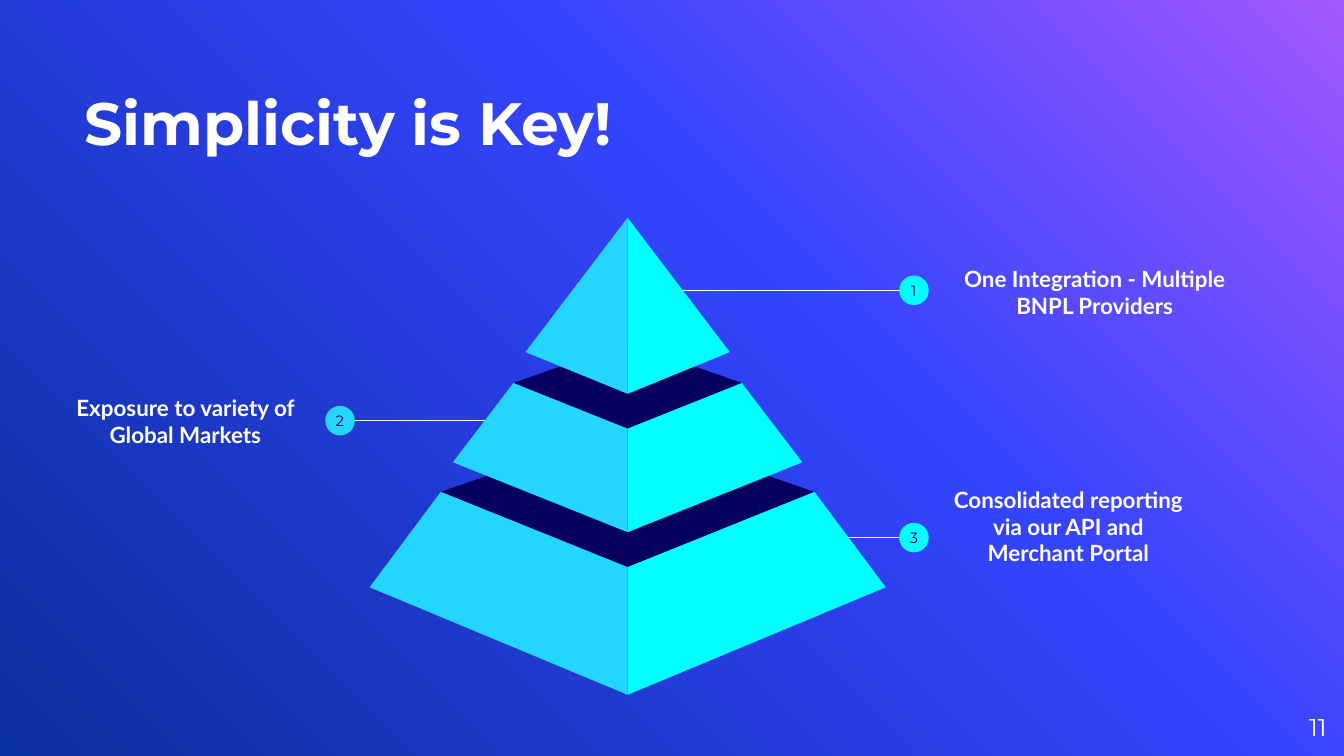
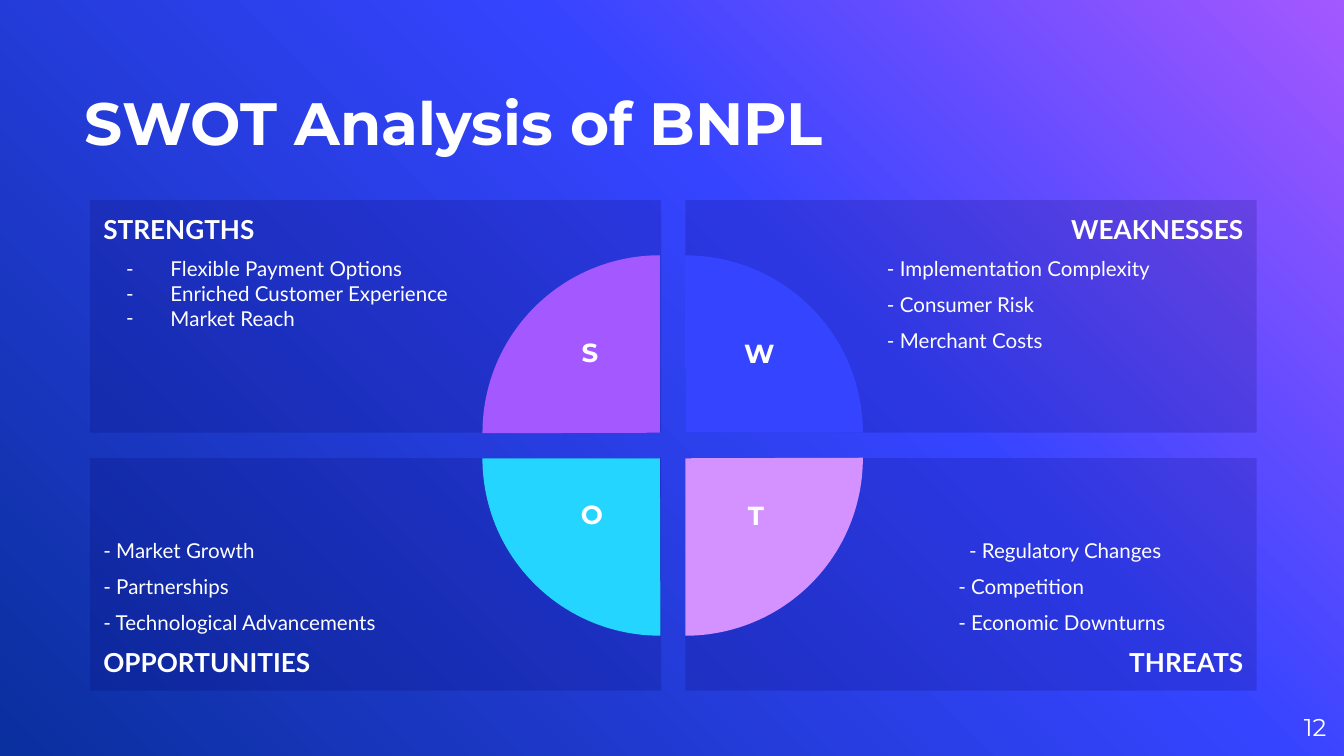
from lxml import etree
from pptx import Presentation
from pptx.dml.color import RGBColor
from pptx.enum.shapes import MSO_CONNECTOR, MSO_SHAPE
from pptx.enum.text import MSO_ANCHOR, MSO_AUTO_SIZE, PP_ALIGN
from pptx.oxml.ns import qn
from pptx.util import Inches, Pt

LEFT, MID, RIGHT = PP_ALIGN.LEFT, PP_ALIGN.CENTER, PP_ALIGN.RIGHT
TOP, CORE, BASE = MSO_ANCHOR.TOP, MSO_ANCHOR.MIDDLE, MSO_ANCHOR.BOTTOM
RECT, OVAL, PIE = MSO_SHAPE.RECTANGLE, MSO_SHAPE.OVAL, MSO_SHAPE.PIE
LINE, FIXED = MSO_CONNECTOR.STRAIGHT, MSO_AUTO_SIZE.NONE

HUES = {
    "white": "FFFFFF", "navy": "050060", "cyan": "00FFFF", "sky": "24D6FF",
    "blue": "3544FF", "violet": "A458FF", "pink": "D392FF", "deep": "0A2F9E",
}
FADE = [("violet", 0), ("blue", 39), ("deep", 100)]
WIDE = 10
HIGH = WIDE * 9 / 16

HEAD = {"name": "Montserrat", "size": Pt(32), "bold": True}
PAGE = {"name": "Montserrat", "size": Pt(13), "bold": False}
MARK = {"name": "Montserrat", "size": Pt(8), "bold": False}
SIGN = {"name": "Montserrat", "size": Pt(14), "bold": True}
NOTE = {"name": "Lato", "size": Pt(12), "bold": True}
NAME = {"name": "Lato", "size": Pt(14), "bold": True}
ITEM = {"name": "Lato", "size": Pt(11), "bold": False}

AXIS = 4.67
TIERS = [
    {"back": 3.18, "top": (1.39, 3.66, 4.22), "foot": (1.92, 4.37, 5.17)},
    {"back": 2.55, "top": (0.85, 2.85, 3.19), "foot": (1.3, 3.44, 3.96)},
    {"back": None, "top": (0, 1.62, 1.62), "foot": (0.76, 2.62, 2.93)},
]
DISC, TAG = 0.22, (0.27, 0.34)
CALLS = [
    {"num": "3", "text": "Consolidated reporting via our API and Merchant Portal",
     "dot": (6.8, 4), "edge": 6.27, "box": (6.93, 3.22, 2.04, 1.51),
     "low": 0.22, "hue": "cyan"},
    {"num": "2", "text": "Exposure to variety of Global Markets",
     "dot": (2.53, 3.13), "edge": 3.64, "box": (0.36, 2.38, 2.04, 1.51),
     "low": 0.1, "hue": "sky"},
    {"num": "1", "text": "One Integration - Multiple BNPL Providers",
     "dot": (6.8, 2.16), "edge": 5.03, "box": (6.94, 1.4, 2.41, 1.69),
     "low": 0.25, "hue": "cyan"},
]

PANEL = {"left": 0.67, "top": 1.49, "wide": 4.25, "high": 1.73,
         "dx": 4.43, "dy": 1.92}
WHEEL = {"left": 3.59, "top": 1.9, "size": 2.64, "gap": 0.19}
SWOT = [
    {"col": 0, "row": 0, "name": "STRENGTHS", "hue": "violet", "turn": 0,
     "sign": (4.2, 2.45, 0.38, 0.51),
     "items": ["Flexible Payment Options", "Enriched Customer Experience",
               "Market Reach"]},
    {"col": 1, "row": 0, "name": "WEAKNESSES", "hue": "blue", "turn": 90,
     "sign": (5.31, 2.46, 0.68, 0.5),
     "items": ["- Implementation Complexity", "- Consumer Risk",
               "- Merchant Costs"]},
    {"col": 1, "row": 1, "name": "THREATS", "hue": "pink", "turn": 180,
     "sign": (5.44, 3.67, 0.37, 0.5),
     "items": ["- Regulatory Changes", "- Competition",
               "- Economic Downturns"]},
    {"col": 0, "row": 1, "name": "OPPORTUNITIES", "hue": "sky", "turn": 270,
     "sign": (4.16, 3.66, 0.49, 0.51),
     "items": ["- Market Growth", "- Partnerships",
               "- Technological Advancements"]},
]


def rgb(hue):
    return RGBColor.from_string(HUES[hue])


def put(thing, vals):
    for key, val in vals.items():
        setattr(thing, key, val)


def inch(*vals):
    return [Inches(val) for val in vals]


def para(text, font, align=LEFT, indent=None, dash=False, **gaps):
    return {"text": text, "font": font, "indent": indent, "dash": dash,
            "form": {"alignment": align, **gaps}}


def write(shape, paras, hue="white", anchor=TOP, pad=(0, 0, 0, 0)):
    frame = shape.text_frame
    sides = ("margin_left", "margin_top", "margin_right", "margin_bottom")
    put(frame, {"word_wrap": True, "auto_size": FIXED,
                "vertical_anchor": anchor, **dict(zip(sides, inch(*pad)))})
    for i, part in enumerate(paras):
        line = frame.add_paragraph() if i else frame.paragraphs[0]
        put(line, part["form"])
        if part["indent"]:
            props = line._p.get_or_add_pPr()
            for key, val in zip(("marL", "indent"), part["indent"]):
                props.set(key, str(Inches(val)))
            if part["dash"]:
                face = part["font"]["name"]
                etree.SubElement(props, qn("a:buFont"), typeface=face)
                etree.SubElement(props, qn("a:buChar"), char="-")
        run = line.add_run()
        run.text = part["text"]
        put(run.font, part["font"])
        run.font.color.rgb = rgb(hue)


def paint(shape, hue, alpha=None):
    shape.shadow.inherit = False
    shape.fill.solid()
    shape.fill.fore_color.rgb = rgb(hue)
    shape.line.fill.background()
    if alpha:
        tone = shape.fill._xPr.find(".//" + qn("a:srgbClr"))
        etree.SubElement(tone, qn("a:alpha"), val=str(alpha * 1000))


def form(slide, kind, box, hue, alpha=None):
    shape = slide.shapes.add_shape(kind, *inch(*box))
    paint(shape, hue, alpha)
    return shape


def label(slide, box, paras, **opts):
    write(slide.shapes.add_textbox(*inch(*box)), paras, **opts)


def facet(slide, points, hue):
    first, *rest = [inch(*pt) for pt in dict.fromkeys(points)]
    path = slide.shapes.build_freeform(*first)
    path.add_line_segments(rest, close=True)
    paint(path.convert_to_shape(), hue)


def backdrop(master):
    fill = master.background.fill
    fill.gradient()
    fill.gradient_angle = 225
    stops = next(master.element.iter(qn("a:gsLst")))
    for stop in list(stops):
        stops.remove(stop)
    for hue, pos in FADE:
        stop = etree.SubElement(stops, qn("a:gs"), pos=str(pos * 1000))
        etree.SubElement(stop, qn("a:srgbClr"), val=HUES[hue])


def start(deck, title, page):
    slide = deck.slides.add_slide(deck.slide_layouts[5])
    head = slide.shapes.title
    put(head, dict(zip(("left", "top", "width", "height"),
                       inch(0.63, 0.23, 6.58, 0.94))))
    write(head, [para(title, HEAD)], anchor=BASE)
    label(slide, (9.27, 5.19, 0.6, 0.43), [para(page, PAGE, RIGHT)],
          anchor=CORE)
    return slide


def callout(slide, call):
    x, y = call["dot"]
    wire = slide.shapes.add_connector(LINE, *inch(call["edge"], y, x, y))
    wire.line.color.rgb = rgb("white")
    wire.line.width = Pt(0.75)
    etree.SubElement(wire._element.spPr, qn("a:effectLst"))
    label(slide, call["box"], [para(call["text"], NOTE, MID)],
          anchor=CORE, pad=(0.1, 0.1, 0.1, call["low"]))
    form(slide, OVAL, (x - DISC / 2, y - DISC / 2, DISC, DISC), call["hue"])
    wide, high = TAG
    label(slide, (x - wide / 2, y - high / 2, wide, high),
          [para(call["num"], MARK, MID)], hue="navy", anchor=CORE)


def tier(slide, back, top, foot):
    half, side, front = top
    span, low, tip = foot
    if back:
        facet(slide, [(AXIS - half, side), (AXIS, front),
                      (AXIS + half, side), (AXIS, back)], "navy")
    for way, hue in ((-1, "sky"), (1, "cyan")):
        facet(slide, [(AXIS + way * half, side), (AXIS + way * span, low),
                      (AXIS, tip), (AXIS, front)], hue)


def lines(part):
    col, row, items = part["col"], part["row"], part["items"]
    side = RIGHT if col else LEFT
    gap = {"space_before": Pt(6)}
    if row:
        forms = [{}, gap, gap]
        if col:
            shift = {"indent": (0, 0.53), **gap}
            forms = [{"align": MID}, shift, shift]
    elif col:
        forms = [gap] * 3
    else:
        dash = {"indent": (0.5, -0.33), "dash": True}
        forms = [{**dash, **gap}, dash, dash]
    body = [para(text, ITEM, **opts) for text, opts in zip(items, forms)]
    if row:
        return body + [para(part["name"], NAME, side, space_after=Pt(6), **gap)]
    return [para(part["name"], NAME, side)] + body


def panel(slide, part):
    col, row = part["col"], part["row"]
    box = (PANEL["left"] + col * PANEL["dx"], PANEL["top"] + row * PANEL["dy"],
           PANEL["wide"], PANEL["high"])
    card = form(slide, RECT, box, "navy", 18)
    pad = (1.5, 0.1, 0.1, 0.1) if col else (0.1, 0.1, 1.5, 0.1)
    write(card, lines(part), anchor=BASE if row else TOP, pad=pad)


def wedge(slide, part):
    size, gap = WHEEL["size"], WHEEL["gap"]
    box = (WHEEL["left"] + part["col"] * gap, WHEEL["top"] + part["row"] * gap,
           size, size)
    shape = form(slide, PIE, box, part["hue"])
    shape.adjustments[0] = 107.89
    shape.adjustments[1] = 162
    shape.rotation = part["turn"]


def main():
    deck = Presentation()
    deck.slide_width, deck.slide_height = inch(WIDE, HIGH)
    backdrop(deck.slide_master)

    slide = start(deck, "Simplicity is Key!", "11")
    for call in CALLS:
        callout(slide, call)
    for step in TIERS:
        tier(slide, **step)

    slide = start(deck, "SWOT Analysis of BNPL", "12")
    for draw in (panel, wedge):
        for part in SWOT:
            draw(slide, part)
    for part in SWOT:
        label(slide, part["sign"], [para(part["name"][0], SIGN, MID)],
              pad=(0, 0.05, 0, 0.05))
    deck.save("out.pptx")


if __name__ == "__main__":
    main()
